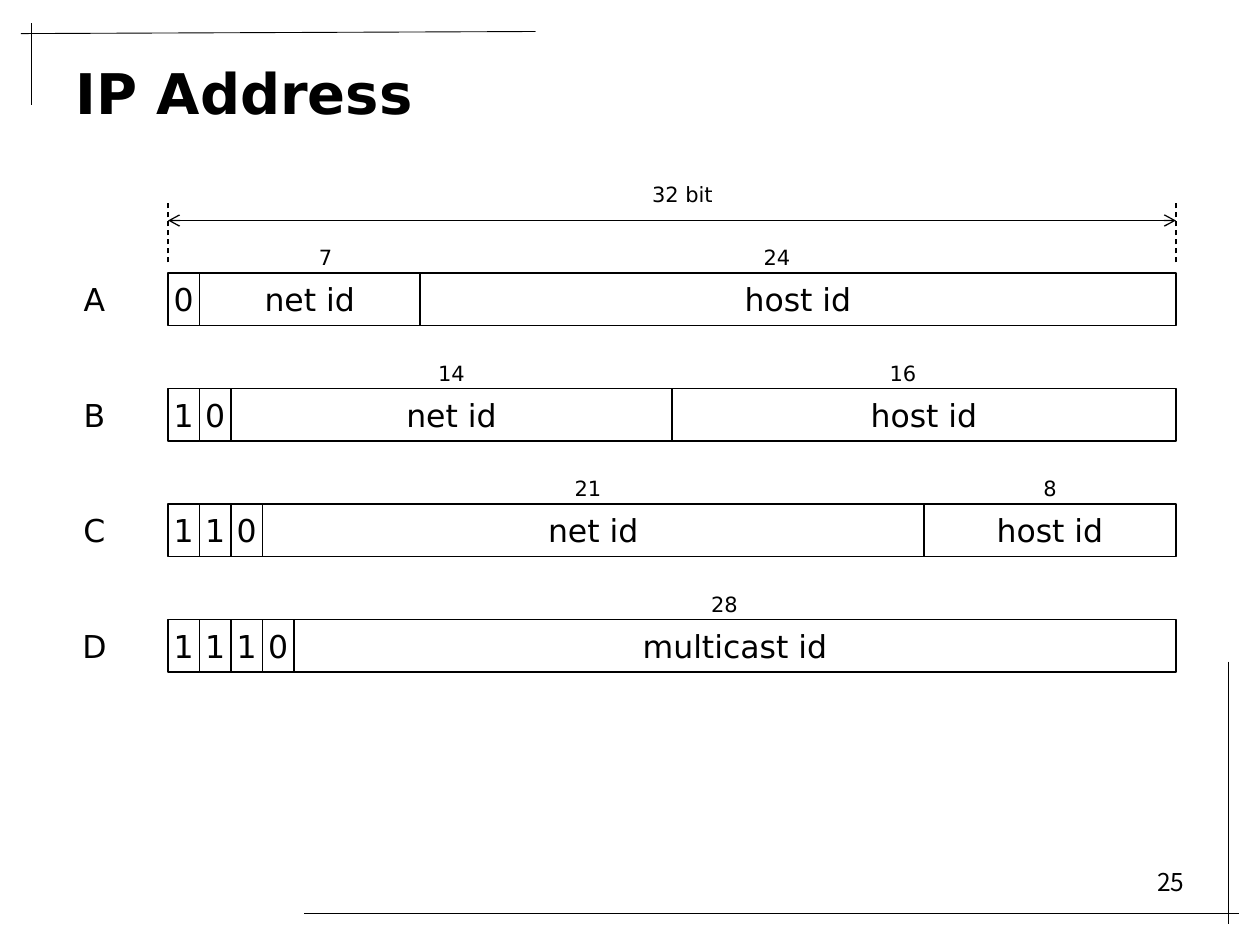
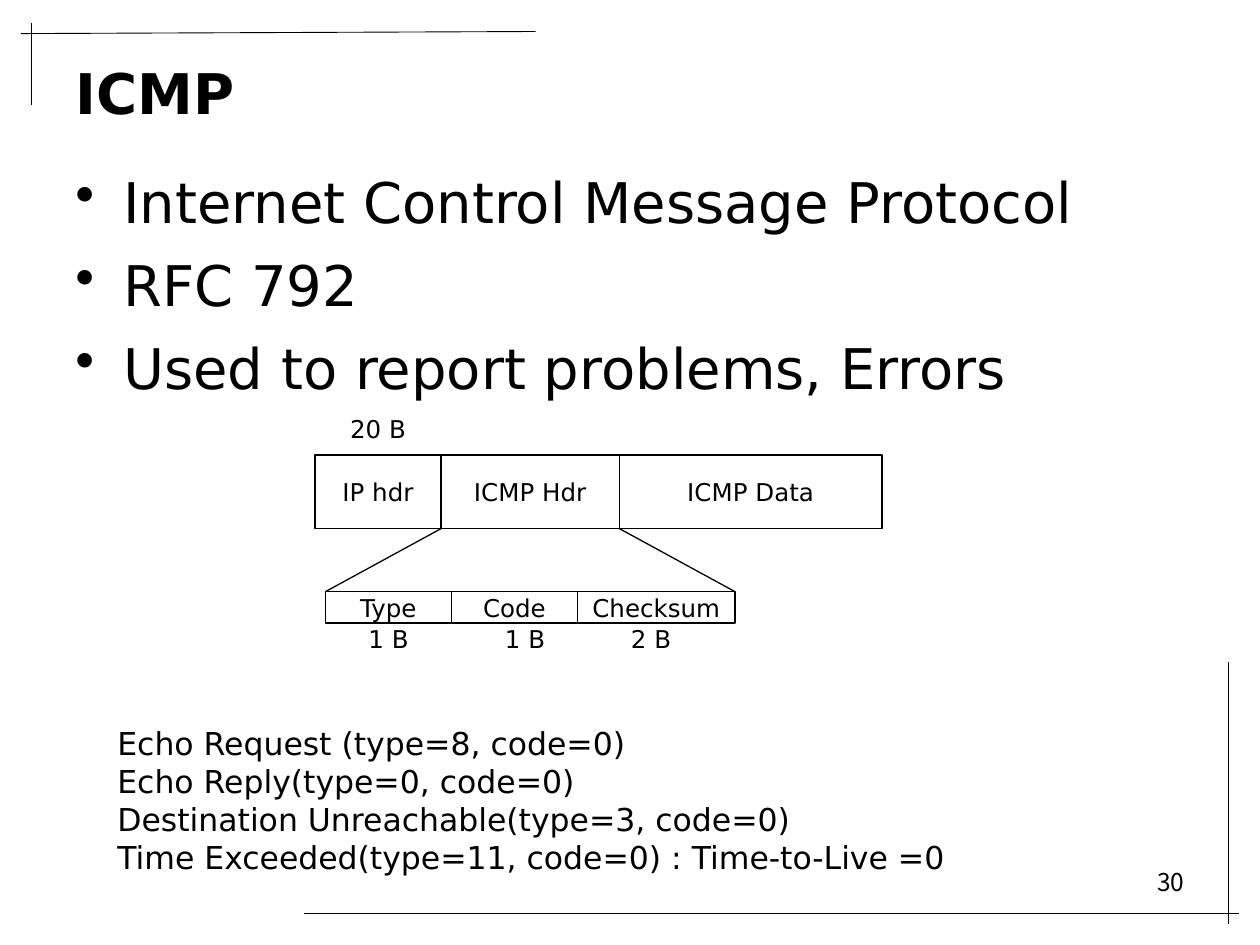
from itertools import accumulate

from lxml import etree
from pptx import Presentation
from pptx.dml.color import RGBColor
from pptx.enum.dml import MSO_LINE
from pptx.enum.shapes import MSO_CONNECTOR, MSO_SHAPE
from pptx.enum.text import MSO_ANCHOR, MSO_AUTO_SIZE, PP_ALIGN
from pptx.oxml.ns import qn
from pptx.util import Inches, Pt

STRAIGHT, RECT, DASH = MSO_CONNECTOR.STRAIGHT, MSO_SHAPE.RECTANGLE, MSO_LINE.DASH
LEFT, CENTER, RIGHT = PP_ALIGN.LEFT, PP_ALIGN.CENTER, PP_ALIGN.RIGHT
TOP, MIDDLE, GROW = MSO_ANCHOR.TOP, MSO_ANCHOR.MIDDLE, MSO_AUTO_SIZE.SHAPE_TO_FIT_TEXT

BLACK, WHITE = "000000", "FFFFFF"
MAIN, PAGE = "DejaVu Sans", "Noto Sans CJK KR"
UNIT = Inches(1) / 12
COLS, ROWS = 120, 90
EDGES = [(29, 87, 118, 87), (2, 3.2, 51, 3), (3, 2.2, 3, 10), (117, 63, 117, 88)]

TITLE = {"size": Pt(32), "bold": True}
BODY = {"size": Pt(32)}
LARGE = {"size": Pt(18)}
MEDIUM = {"size": Pt(14)}
SMALL = {"size": Pt(12)}
FOOT = {"size": Pt(14), "name": PAGE}
NOTE = {"word_wrap": True, "vertical_anchor": TOP}

BAR, BIT, BITS, STEP, TALL = 16, 3, 32, 11, 5
GROUPS = [
    ("A", "0", [("net id", 7, 31), ("host id", 24, 74)]),
    ("B", "10", [("net id", 14, 43), ("host id", 16, 86)]),
    ("C", "110", [("net id", 21, 56), ("host id", 8, 100)]),
    ("D", "1110", [("multicast id", 28, 69)]),
]
POINTS = ["Internet Control Message Protocol", "RFC 792",
          "Used to report problems, Errors"]
ECHOES = ["Echo Request (type=8, code=0)", "Echo Reply(type=0, code=0)",
          "Destination Unreachable(type=3, code=0)",
          "Time Exceeded(type=11, code=0) : Time-to-Live =0"]


def grid(*cells):
    """Turn grid cells into slide lengths."""
    return [round(cell * UNIT) for cell in cells]


def tint(code):
    """Make a colour from a hex string."""
    return RGBColor.from_string(code)


def apply(item, values):
    """Set each named value on an item."""
    for name, value in values.items():
        setattr(item, name, value)


def write(shape, lines, font, align=CENTER, frame=None, bullet=False, gap=0):
    """Fill a shape with styled paragraphs."""
    body = shape.text_frame
    apply(body, {"word_wrap": False, "vertical_anchor": MIDDLE, **(frame or {})})
    for index, line in enumerate(lines):
        para = body.add_paragraph() if index else body.paragraphs[0]
        apply(para, {"alignment": align, "space_before": Pt(gap if index else 0)})
        if bullet:
            dot(para)
        run = para.add_run()
        run.text = line
        apply(run.font, {"name": MAIN, **font})
        run.font.color.rgb = tint(BLACK)


def dot(para):
    """Give a paragraph a bullet with a hanging indent."""
    props = para._p.get_or_add_pPr()
    indent = Inches(0.38)
    props.set("marL", str(indent))
    props.set("indent", str(-indent))
    etree.SubElement(props, qn("a:buChar")).set("char", "•")


def label(slide, spot, lines, font, **look):
    """Place a text box on the grid."""
    box = slide.shapes.add_textbox(*grid(*spot))
    write(box, lines, font, **look)


def cell(slide, spot, word, font, fill=None):
    """Draw an outlined field with its name."""
    box = slide.shapes.add_shape(RECT, *grid(*spot))
    box.shadow.inherit = False
    if fill:
        box.fill.solid()
        box.fill.fore_color.rgb = tint(fill)
    else:
        box.fill.background()
    box.line.color.rgb = tint(BLACK)
    box.line.width = Pt(0.75)
    write(box, [word], font)


def rule(slide, ends, width=0.75, dash=None, arrows=False):
    """Draw a straight line between two grid points."""
    line = slide.shapes.add_connector(STRAIGHT, *grid(*ends))
    line.line.color.rgb = tint(BLACK)
    apply(line.line, {"width": Pt(width), "dash_style": dash})
    if arrows:
        for end in ("a:headEnd", "a:tailEnd"):
            etree.SubElement(line.line._ln, qn(end)).set("type", "arrow")
    etree.SubElement(line._element.spPr, qn("a:effectLst"))


def strip(slide, left, top, tall, fields, font, fill=None):
    """Draw fields side by side from names and widths."""
    starts = accumulate((wide for _, wide in fields), initial=left)
    for start, (word, wide) in zip(starts, fields):
        cell(slide, (start, top, wide, tall), word, font, fill)


def start(deck, title, page):
    """Add a slide with edge lines, title and number."""
    slide = deck.slides.add_slide(deck.slide_layouts[6])
    for edge in EDGES:
        rule(slide, edge, 0.5)
    label(slide, (86, 82, 28, 6.2), [str(page)], FOOT, align=RIGHT, frame=NOTE)
    label(slide, (6, 4.6, 108, 8.4), [title], TITLE, align=LEFT,
          frame={"word_wrap": True})
    return slide


def address(deck):
    """Build the slide of address classes."""
    slide = start(deck, "IP Address", 25)
    end = BAR + BITS * BIT
    rule(slide, (BAR, 21, end, 21), arrows=True)
    for side in (BAR, end):
        rule(slide, (side, 25, side, 19), dash=DASH)
    label(slide, (56, 16, 18, TALL), ["32 bit"], SMALL)
    for row, (group, prefix, parts) in enumerate(GROUPS):
        top = 26 + row * STEP
        label(slide, (6, top, 6, TALL), [group], LARGE)
        fields = [(bit, BIT) for bit in prefix]
        fields += [(word, bits * BIT) for word, bits, _ in parts]
        strip(slide, BAR, top, TALL, fields, LARGE, WHITE)
        for _, bits, mid in parts:
            label(slide, (mid - 3, top - 4, 6, TALL), [str(bits)], SMALL)


def control(deck):
    """Build the slide of the message format."""
    slide = start(deck, "ICMP", 30)
    label(slide, (6, 15.4, 108, 65), POINTS, BODY, align=LEFT, frame=NOTE,
          bullet=True, gap=9)
    top, tall, low = 43.35, 7, 56.35
    strip(slide, 30, top, tall,
          [("IP hdr", 12), ("ICMP Hdr", 17), ("ICMP Data", 25)], MEDIUM)
    strip(slide, 31, low, 3, [("Type", 12), ("Code", 12), ("Checksum", 15)], MEDIUM)
    for near, far in ((42, 31), (59, 70)):
        rule(slide, (near, top + tall, far, low))
    sizes = [(31, top - 4, "20 B"), (32, low + 3, "1 B"),
             (45, low + 3, "1 B"), (57, low + 3, "2 B")]
    for left, level, size in sizes:
        label(slide, (left, level, 10, 3), [size], MEDIUM)
    label(slide, (10, 68.4, 95, 15.6), ECHOES, LARGE, align=LEFT,
          frame={**NOTE, "auto_size": GROW})


def main():
    """Build and save the deck."""
    deck = Presentation()
    deck.slide_width, deck.slide_height = grid(COLS, ROWS)
    address(deck)
    control(deck)
    deck.save("out.pptx")


if __name__ == "__main__":
    main()
